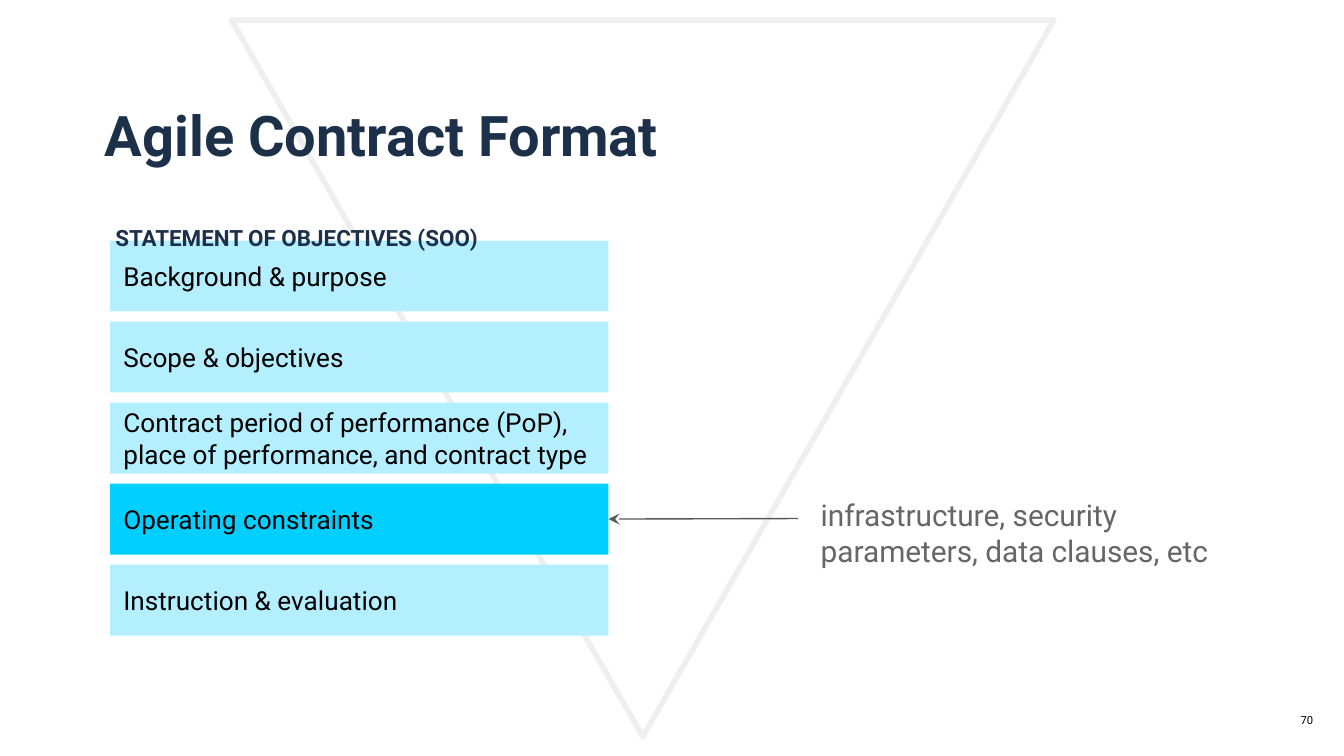
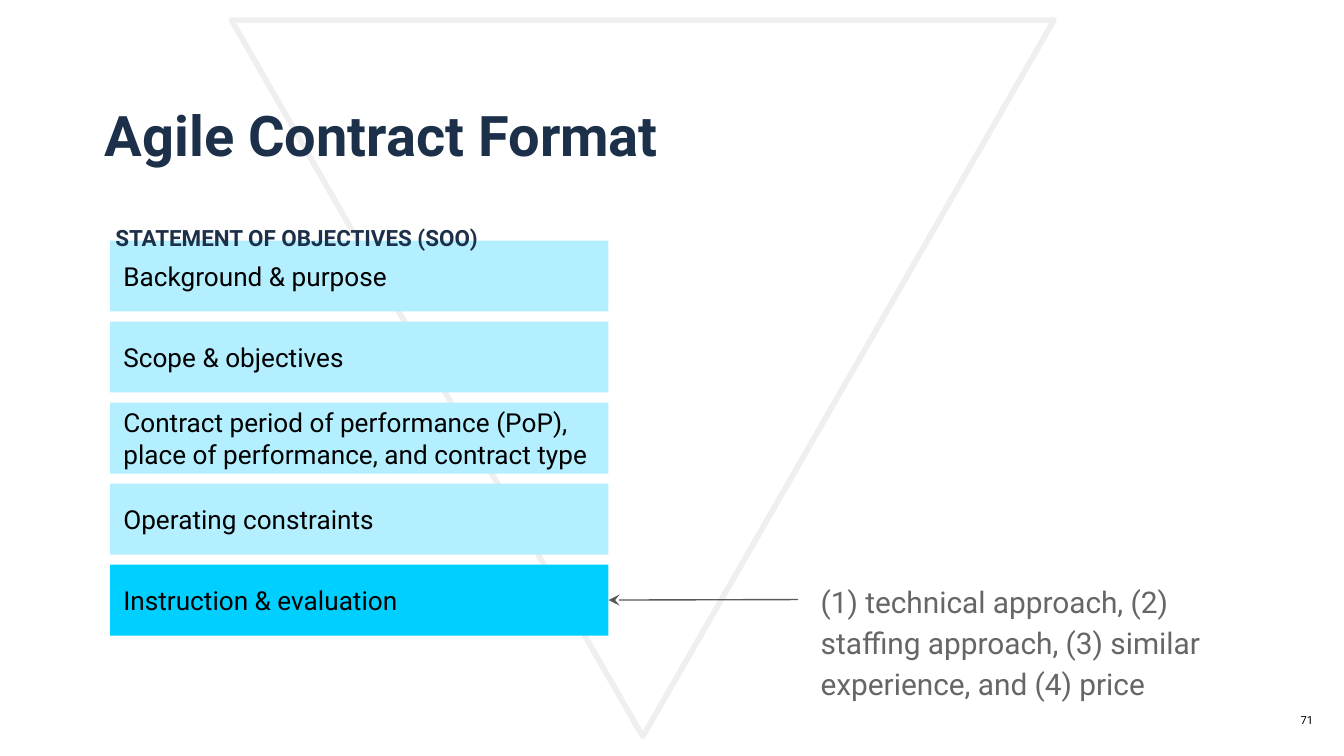
from lxml.etree import SubElement
from pptx import Presentation
from pptx.dml.color import RGBColor
from pptx.enum.shapes import MSO_CONNECTOR as CONNECTOR, MSO_SHAPE as SHAPE
from pptx.enum.text import MSO_ANCHOR as ANCHOR, MSO_AUTO_SIZE as AUTO_SIZE, PP_ALIGN as ALIGN
from pptx.oxml.ns import qn
from pptx.util import Pt

NAVY = RGBColor(0x1C, 0x30, 0x4A)
PALE_CYAN = RGBColor(0xB3, 0xEF, 0xFF)
CYAN = RGBColor(0x00, 0xCF, 0xFF)
LIGHT_GREY = RGBColor(0xEF, 0xEF, 0xEF)
LINE_GREY = RGBColor(0x59, 0x59, 0x59)
NOTE_GREY = RGBColor(0x66, 0x66, 0x66)
BLACK = RGBColor(0, 0, 0)
FONT = "Roboto"

BAR_LEFT, BAR_TOP, BAR_WIDTH, BAR_HEIGHT = 59, 128.9, 267, 38
BAR_STEP = 43.4
ARROW_RIGHT = 427.6

SECTIONS = [
    "Background & purpose",
    "Scope & objectives",
    "Contract period of performance (PoP), place of performance, and contract type",
    "Operating constraints",
    "Instruction & evaluation",
]
SLIDES = [
    ("70", 3, "infrastructure, security parameters, data clauses, etc", {}),
    ("71", 4, "(1) technical approach, (2) staffing approach, (3) similar experience, and (4) price",
     {"line_spacing": 1.15, "space_after": 10}),
]


def write_text(shape, text, size, color, bold=False, align=ALIGN.LEFT, anchor=ANCHOR.MIDDLE,
               inset=7.2, line_spacing=None, space_after=None):
    frame = shape.text_frame
    frame.word_wrap = True
    frame.auto_size = AUTO_SIZE.NONE
    frame.vertical_anchor = anchor
    frame.margin_left = frame.margin_right = Pt(inset)
    frame.margin_top = frame.margin_bottom = Pt(inset)
    frame.text = text
    paragraph = frame.paragraphs[0]
    paragraph.alignment = align
    if line_spacing:
        paragraph.line_spacing = line_spacing
    if space_after:
        paragraph.space_after = Pt(space_after)
    font = paragraph.runs[0].font
    font.name, font.size, font.bold = FONT, Pt(size), bold
    font.color.rgb = color


presentation = Presentation()
presentation.slide_width, presentation.slide_height = Pt(720), Pt(405)

for number, active, note_text, note_format in SLIDES:
    slide = presentation.slides.add_slide(presentation.slide_layouts[5])
    shapes = slide.shapes

    title = shapes.title
    title.left, title.top, title.width, title.height = Pt(54.7), Pt(52.6), Pt(399), Pt(75)
    write_text(title, "Agile Contract Format", size=30, color=NAVY, bold=True,
               anchor=ANCHOR.TOP, inset=1.4)

    triangle = shapes.add_shape(SHAPE.ISOSCELES_TRIANGLE, Pt(124), Pt(10.8), Pt(440.6), Pt(383.8))
    triangle.rotation = 180
    triangle.shadow.inherit = False
    triangle.fill.background()
    triangle.line.color.rgb = LIGHT_GREY
    triangle.line.width = Pt(3)
    title.element.addprevious(triangle.element)

    for index, section in enumerate(SECTIONS):
        bar = shapes.add_shape(SHAPE.RECTANGLE, Pt(BAR_LEFT), Pt(BAR_TOP + index * BAR_STEP),
                               Pt(BAR_WIDTH), Pt(BAR_HEIGHT))
        bar.shadow.inherit = False
        bar.fill.solid()
        bar.fill.fore_color.rgb = CYAN if index == active else PALE_CYAN
        bar.line.fill.background()
        write_text(bar, section, size=14, color=BLACK)

    active_top = BAR_TOP + active * BAR_STEP
    arrow_y = active_top + BAR_HEIGHT / 2
    arrow = shapes.add_connector(CONNECTOR.STRAIGHT, Pt(BAR_LEFT + BAR_WIDTH), Pt(arrow_y),
                                 Pt(ARROW_RIGHT), Pt(arrow_y - 0.3))
    arrow.line.color.rgb = LINE_GREY
    arrow.line.width = Pt(0.75)
    SubElement(arrow.line._get_or_add_ln(), qn("a:headEnd"), type="stealth")
    SubElement(arrow.element.spPr, qn("a:effectLst"))

    note = shapes.add_textbox(Pt(432.6), Pt(active_top), Pt(250), Pt(25))
    write_text(note, note_text, size=16, color=NOTE_GREY, anchor=ANCHOR.TOP, **note_format)

    heading = shapes.add_textbox(Pt(54.7), Pt(120.2), Pt(263), Pt(12.2))
    write_text(heading, "STATEMENT OF OBJECTIVES (SOO)", size=12, color=NAVY, bold=True,
               line_spacing=1.15, space_after=16)

    page_number = shapes.add_textbox(Pt(667.4), Pt(375), Pt(43.2), Pt(21))
    write_text(page_number, number, size=6, color=BLACK, align=ALIGN.RIGHT)

presentation.save("out.pptx")
